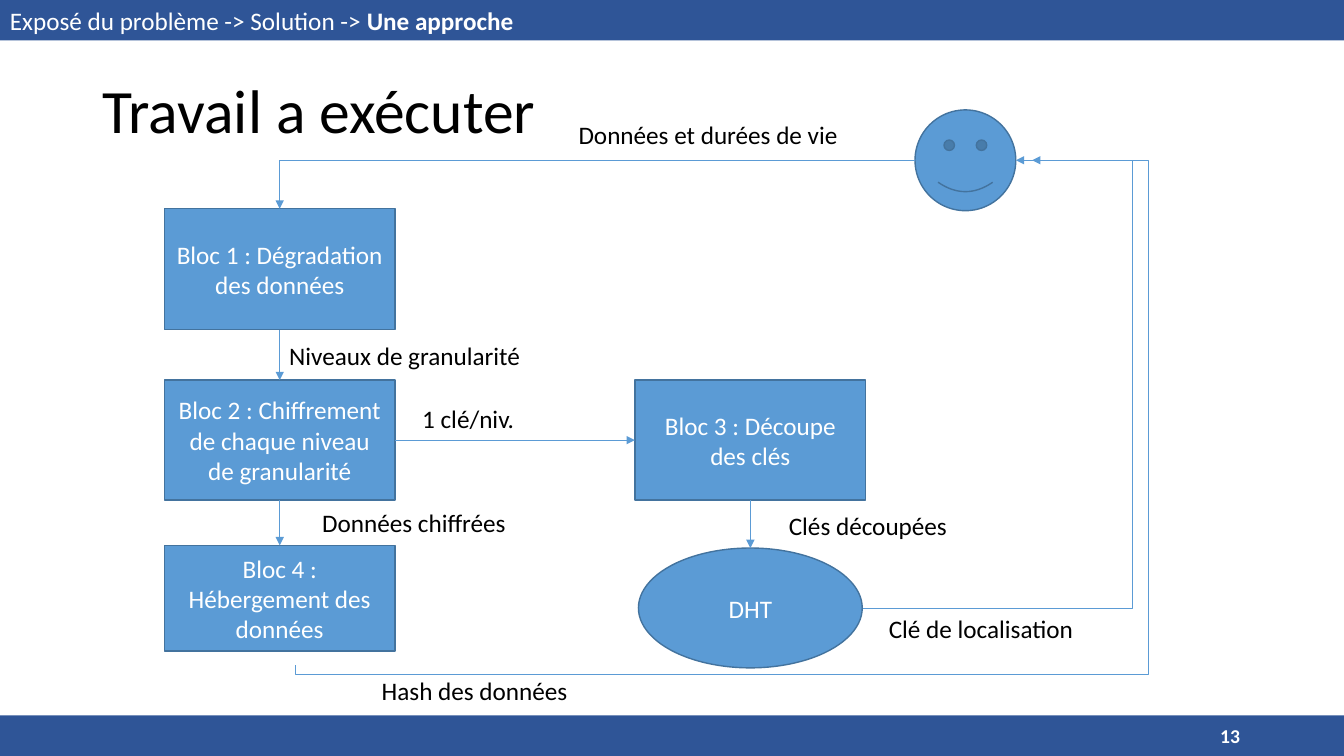
from dataclasses import dataclass

import pptx
import pptx.dml.color
import pptx.enum.shapes
import pptx.enum.text
import pptx.oxml.ns
import pptx.util
from lxml import etree

Cm = pptx.util.Cm
Shapes = pptx.enum.shapes.MSO_SHAPE
Connectors = pptx.enum.shapes.MSO_CONNECTOR
Align = pptx.enum.text.PP_ALIGN
Anchor = pptx.enum.text.MSO_ANCHOR
AutoSize = pptx.enum.text.MSO_AUTO_SIZE
qn = pptx.oxml.ns.qn

SLIDE_WIDTH, SLIDE_HEIGHT, BAND_HEIGHT = 33.87, 19.05, 1.02
TOP, BOTTOM, RIGHT = 0, 2, 3  # connection sites


@dataclass(frozen=True)
class Theme:
    font: str = "Calibri"
    band: str = "2F5597"
    block: str = "5B9BD5"
    outline: str = "43739E"
    dark_text: str = "000000"
    light_text: str = "FFFFFF"
    title_size: int = 44
    body_size: int = 18
    number_size: int = 14
    outline_width: float = 1
    arrow_width: float = 0.5


THEME = Theme()


@dataclass(frozen=True)
class Node:
    name: str
    text: str
    left: float
    top: float
    width: float
    height: float
    kind: Shapes = Shapes.RECTANGLE


@dataclass(frozen=True)
class Link:
    source: str
    source_site: int
    target: str
    target_site: int


@dataclass(frozen=True)
class Elbow:
    preset: str
    begin: tuple[float, float]
    end: tuple[float, float]
    adjustments: tuple[int, ...] = ()
    quarter_turn: bool = False


@dataclass(frozen=True)
class Label:
    text: str
    left: float
    top: float
    width: float


NODES = [
    Node("degradation", "Bloc 1 : Dégradation des données", 4.14, 5.26, 5.82, 3.05),
    Node("encryption", "Bloc 2 : Chiffrement de chaque niveau de granularité", 4.14, 9.58, 5.82, 3.02),
    Node("splitting", "Bloc 3 : Découpe des clés", 16, 9.58, 5.82, 3.02),
    Node("hosting", "Bloc 4 : Hébergement des données", 4.14, 13.74, 5.82, 2.67),
    Node("dht", "DHT", 16.09, 13.81, 5.64, 3.02, Shapes.OVAL),
    Node("user", "", 23.06, 2.77, 2.54, 2.54, Shapes.SMILEY_FACE),
]
LINKS = [
    Link("degradation", BOTTOM, "encryption", TOP),
    Link("encryption", BOTTOM, "hosting", TOP),
    Link("encryption", RIGHT, "splitting", 1),
    Link("splitting", BOTTOM, "dht", TOP),
]
ELBOWS = [
    Elbow("bentConnector3", (21.74, 15.32), (25.6, 4.04), (175800,)),
    Elbow("bentConnector4", (7.44, 16.76), (26.01, 4.04), (-1800, 115800), quarter_turn=True),
    Elbow("bentConnector2", (23.06, 4.04), (7.05, 5.26)),
]
LABELS = [
    Label("Données chiffrées", 7.87, 12.65, 5.21),
    Label("Niveaux de granularité", 7.04, 8.46, 6.4),
    Label("1 clé/niv.", 10.39, 10.03, 2.84),
    Label("Clés découpées", 19.63, 12.73, 4.55),
    Label("Clé de localisation", 22.15, 15.34, 5.21),
    Label("Hash des données", 9.37, 16.89, 5.26),
    Label("Données et durées de vie", 14.33, 2.87, 7.14),
]


def rgb(value: str) -> pptx.dml.color.RGBColor:
    return pptx.dml.color.RGBColor.from_string(value)


def write(shape, text: str, *, size: int = THEME.body_size, color: str = THEME.dark_text,
          bold: bool = False, align: Align = Align.LEFT, anchor: Anchor = Anchor.TOP,
          wrap: bool = True, line_spacing: float | None = None, bold_ending: str = "") -> None:
    """Fill the shape with one paragraph, optionally ending in a bold run."""
    frame = shape.text_frame
    frame.word_wrap = wrap
    frame.auto_size = AutoSize.NONE if wrap else AutoSize.SHAPE_TO_FIT_TEXT
    frame.vertical_anchor = anchor
    paragraph = frame.paragraphs[0]
    paragraph.alignment = align
    paragraph.line_spacing = line_spacing
    for content, is_bold in ((text, bold), (bold_ending, True)):
        if content:
            run = paragraph.add_run()
            run.text = content
            run.font.name = THEME.font
            run.font.size = pptx.util.Pt(size)
            run.font.bold = is_bold
            run.font.color.rgb = rgb(color)


def add_text_box(slide, left: float, top: float, width: float):
    return slide.shapes.add_textbox(Cm(left), Cm(top), Cm(width), Cm(BAND_HEIGHT))


def add_band(slide, top: float) -> None:
    band = slide.shapes.add_shape(Shapes.RECTANGLE, 0, Cm(top), Cm(SLIDE_WIDTH), Cm(BAND_HEIGHT))
    band.shadow.inherit = False
    band.fill.solid()
    band.fill.fore_color.rgb = rgb(THEME.band)
    band.line.fill.background()


def add_node(slide, node: Node):
    shape = slide.shapes.add_shape(node.kind, Cm(node.left), Cm(node.top), Cm(node.width), Cm(node.height))
    shape.shadow.inherit = False
    shape.fill.solid()
    shape.fill.fore_color.rgb = rgb(THEME.block)
    shape.line.color.rgb = rgb(THEME.outline)
    shape.line.width = pptx.util.Pt(THEME.outline_width)
    if node.text:
        write(shape, node.text, color=THEME.light_text, align=Align.CENTER, anchor=Anchor.MIDDLE)
    return shape


def add_arrow(slide, kind: Connectors, begin: tuple[float, float], end: tuple[float, float]):
    arrow = slide.shapes.add_connector(kind, *(Cm(value) for value in (*begin, *end)))
    arrow.line.color.rgb = rgb(THEME.block)
    arrow.line.width = pptx.util.Pt(THEME.arrow_width)
    properties = arrow._element.spPr
    etree.SubElement(properties.find(qn("a:ln")), qn("a:tailEnd"), type="triangle")
    etree.SubElement(properties, qn("a:effectLst"))
    return arrow


def add_link(slide, link: Link, shapes: dict) -> None:
    arrow = add_arrow(slide, Connectors.STRAIGHT, (0, 0), (0, 0))
    arrow.begin_connect(shapes[link.source], link.source_site)
    arrow.end_connect(shapes[link.target], link.target_site)


def add_elbow(slide, elbow: Elbow) -> None:
    """Draw a bent arrow; a quarter turn makes it leave its source vertically."""
    begin, end = elbow.begin, elbow.end
    if elbow.quarter_turn:
        center_x, center_y = (begin[0] + end[0]) / 2, (begin[1] + end[1]) / 2
        offset_x, offset_y = begin[1] - center_y, center_x - begin[0]
        begin = (center_x + offset_x, center_y + offset_y)
        end = (center_x - offset_x, center_y - offset_y)
    arrow = add_arrow(slide, Connectors.ELBOW, begin, end)
    properties = arrow._element.spPr
    if elbow.quarter_turn:
        properties.find(qn("a:xfrm")).set("rot", str(90 * 60000))
    geometry = properties.find(qn("a:prstGeom"))
    geometry.set("prst", elbow.preset)
    guides = geometry.find(qn("a:avLst"))
    for number, value in enumerate(elbow.adjustments, start=1):
        etree.SubElement(guides, qn("a:gd"), name=f"adj{number}", fmla=f"val {value}")


def main() -> None:
    presentation = pptx.Presentation()
    presentation.slide_width, presentation.slide_height = Cm(SLIDE_WIDTH), Cm(SLIDE_HEIGHT)
    slide = presentation.slides.add_slide(presentation.slide_layouts[5])
    footer_top = SLIDE_HEIGHT - BAND_HEIGHT
    for top in (footer_top, 0):
        add_band(slide, top)

    title = slide.shapes.title
    title.left, title.top, title.width, title.height = Cm(2.33), Cm(1.01), Cm(29.21), Cm(3.68)
    write(title, "Travail a exécuter", size=THEME.title_size, anchor=Anchor.MIDDLE, line_spacing=0.9)

    shapes = {node.name: add_node(slide, node) for node in NODES}
    for link in LINKS:
        add_link(slide, link, shapes)
    for elbow in ELBOWS:
        add_elbow(slide, elbow)
    for label in LABELS:
        write(add_text_box(slide, label.left, label.top, label.width), label.text, wrap=False)

    write(add_text_box(slide, 0, 0, 13.34), "Exposé du problème -> Solution -> ",
          color=THEME.light_text, wrap=False, bold_ending="Une approche")
    page_number = add_text_box(slide, 0, footer_top, SLIDE_WIDTH)
    page_number.text_frame.margin_right = Cm(2.62)
    write(page_number, "13", size=THEME.number_size, color=THEME.light_text, bold=True,
          align=Align.RIGHT, anchor=Anchor.MIDDLE)
    presentation.save("out.pptx")


if __name__ == "__main__":
    main()
